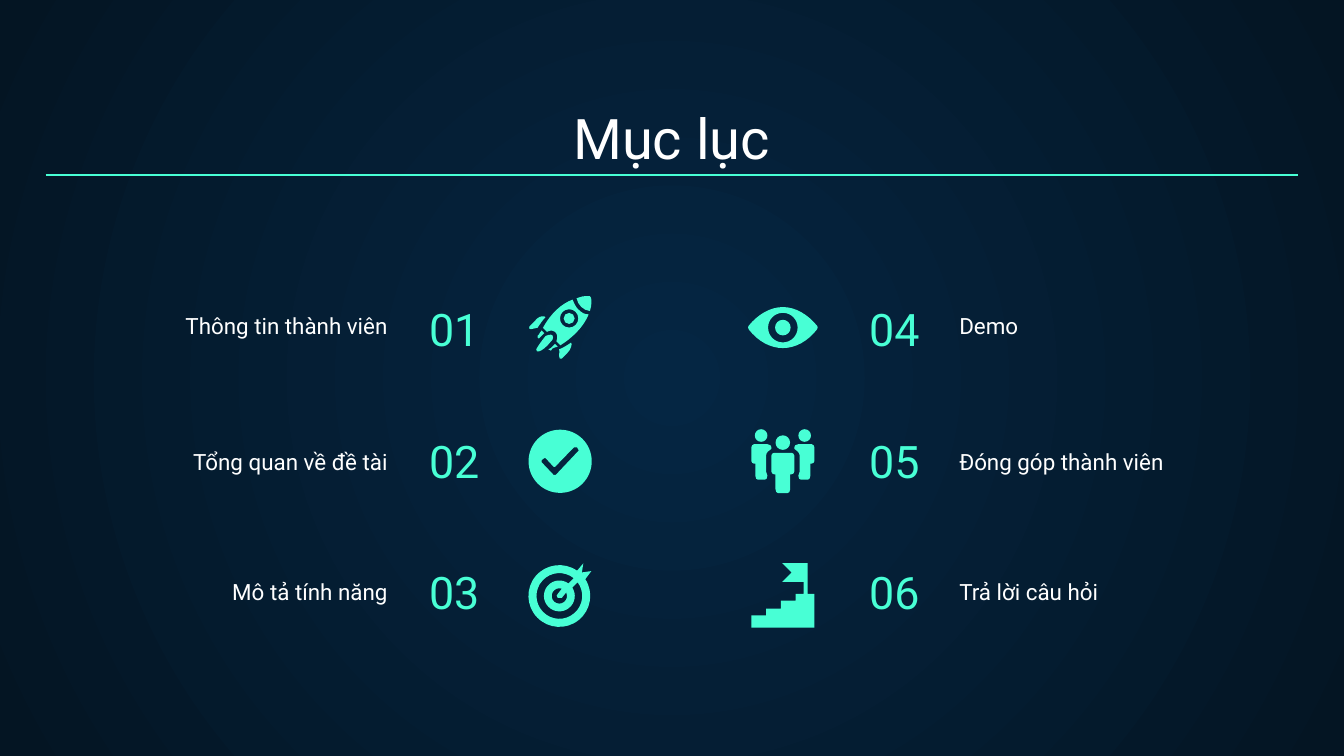
from dataclasses import dataclass
from math import cos, radians, sin, tan

from lxml.etree import SubElement
from pptx import Presentation
from pptx.dml.color import RGBColor
from pptx.enum.shapes import MSO_CONNECTOR
from pptx.enum.text import MSO_ANCHOR, MSO_AUTO_SIZE, PP_ALIGN
from pptx.oxml.ns import qn
from pptx.util import Cm, Pt

HUES = {"mint": "48FFD5", "white": "FFFFFF", "core": "052643", "edge": "041523"}
FONT = "Roboto"
UNIT = Cm(2.54) / 100  # icon points lie on a grid of hundredths of an inch
FINE = 10  # steps kept within one grid unit
Path = list[tuple]  # a step is a point (x, y), or a curve of three points


@dataclass
class Side:
    num_x: float
    num_al: PP_ALIGN
    text_x: float
    text_al: PP_ALIGN
    first: int
    items: list[str]


def hue(name: str) -> RGBColor:
    return RGBColor.from_string(HUES[name])


def write(shape, text: str, size: int, tint: str, align: PP_ALIGN) -> None:
    frame = shape.text_frame
    frame.word_wrap = True
    frame.auto_size = MSO_AUTO_SIZE.NONE
    frame.vertical_anchor = MSO_ANCHOR.BOTTOM
    frame.margin_left = frame.margin_right = Cm(0.25)
    frame.margin_top = frame.margin_bottom = Cm(0.25)
    para = frame.paragraphs[0]
    para.alignment = align
    run = para.add_run()
    run.text = text
    run.font.name = FONT
    run.font.size = Pt(size)
    run.font.color.rgb = hue(tint)


def label(slide, x: float, y: float, w: float, h: float,
          text: str, size: int, tint: str, align: PP_ALIGN) -> None:
    box = slide.shapes.add_textbox(Cm(x), Cm(y), Cm(w), Cm(h))
    write(box, text, size, tint, align)


def arc(x: float, y: float, r: float, start: float = 0, end: float = 360) -> Path:
    """Four curves round a centre, led by the starting point."""
    turn = radians(end - start) / 4
    pull = 4 / 3 * tan(turn / 4)

    def spot(t: float, k: float) -> tuple[float, float]:
        return x + r * (cos(t) - k * sin(t)), y + r * (sin(t) + k * cos(t))

    path: Path = [spot(radians(start), 0)]
    for i in range(4):
        a = radians(start) + i * turn
        path.append((spot(a, pull), spot(a + turn, -pull), spot(a + turn, 0)))
    return path


def points(step: tuple) -> list[tuple]:
    return list(step) if len(step) == 3 else [step]


def flip(path: Path, total: float) -> Path:
    return [tuple((total - x, y) for x, y in step) if len(step) == 3
            else (total - step[0], step[1]) for step in path]


def draw(slide, *paths: Path) -> None:
    """One mint outline; inner paths cut holes."""
    pen = slide.shapes.build_freeform(scale=UNIT / FINE)
    for i, path in enumerate(paths):
        spots = [(x * FINE, y * FINE) for step in path for x, y in points(step)]
        if i:
            pen.move_to(*spots[0])
        else:
            pen = slide.shapes.build_freeform(*spots[0], scale=UNIT / FINE)
        pen.add_line_segments(spots[1:], close=True)
    shape = pen.convert_to_shape()
    # Join each curve's three line steps into one
    lines = iter(list(shape.element.iter(qn("a:lnTo"))))
    for path in paths:
        for step in path[1:]:
            line = next(lines)
            if len(step) == 3:
                line.tag = qn("a:cubicBezTo")
                for _ in range(2):
                    extra = next(lines)
                    line.append(extra[0])
                    extra.getparent().remove(extra)
    shape.shadow.inherit = False
    shape.fill.solid()
    shape.fill.fore_color.rgb = hue("mint")
    shape.line.fill.background()


def rocket(slide) -> None:
    hull = [(426, 223), ((418, 226), (410, 233), (404, 244)), (407, 247),
            ((410, 245.5), (412, 246), (413, 247)),
            ((415, 249), (415, 251), (414, 254)), (417, 257),
            ((425, 252), (434, 244), (438, 234)),
            ((435, 234), (433, 233), (430, 230)),
            ((428, 228), (427, 225), (426, 223))]
    draw(slide, hull, arc(423.5, 237, 6.8))
    draw(slide, arc(423.5, 237, 4.1))
    draw(slide, [(429, 222), ((432, 221), (434, 220), (439, 220.5)),
                 ((440.5, 221), (440.5, 227), (439, 231.5)),
                 ((434, 231), (430, 227), (429, 222))])
    # Fins and flames
    draw(slide, [(405, 235.5), ((403, 235), (400, 236), (398, 239)), (394, 243),
                 ((393, 244), (394, 245), (395, 245)),
                 ((397, 244), (398, 244), (400, 244)),
                 ((402, 241), (404, 238), (406, 236))])
    draw(slide, [(425, 255), ((422, 257), (419, 259), (416, 260)),
                 ((417, 261), (416, 262), (416, 265)),
                 ((416, 267), (417, 267.5), (418, 267)), (422, 263),
                 ((425, 260), (426, 256), (425, 255))])
    draw(slide, [(403, 246), ((401, 248), (401, 250), (400, 250)),
                 ((400, 251), (400, 252), (401, 252)),
                 ((402, 251), (404, 249), (405, 248))])
    draw(slide, [(413, 256), ((411, 257), (411, 259), (408, 260)),
                 ((409, 260), (409, 261), (410, 261)),
                 ((410, 260), (411, 259), (415, 258))])
    draw(slide, [(410, 249), ((409, 249), (407, 249.5), (406, 250)),
                 ((402, 255), (400, 258), (399, 260)),
                 ((399, 261), (400, 262.5), (401, 261.5)),
                 ((403, 261), (406, 259), (410, 254)),
                 ((412, 253), (412, 249), (410, 249))])


def check(slide) -> None:
    tick = [(428, 333), ((428.5, 332.5), (429, 333), (429.5, 333)), (430, 334),
            ((431, 335), (431, 335.5), (430, 336)), (413.5, 353.5),
            ((413, 354), (412.5, 354), (412, 353.5)), (403, 344),
            ((402.5, 343.5), (402.5, 343), (403, 342.5)), (405, 341),
            ((405.5, 340.5), (406, 341), (406, 341)), (412, 347.5),
            ((412.5, 348), (413, 348), (413, 347.5)), (427, 333)]
    draw(slide, arc(416.8, 343.3, 23.5), tick)


def target(slide) -> None:
    mid = (416.2, 443.5)
    disc = arc(*mid, 23, -33, 305) + [(434, 419.3), (433, 426), (440, 425)]
    gap = arc(*mid, 17, -37, 309) + arc(*mid, 11.5, 306, -33)
    hub = arc(*mid, 5.7, -27, 290) + [
        (415, 442), ((414, 442.5), (414, 444), (415, 445)),
        ((416, 445.5), (417, 445.5), (418, 445))]
    draw(slide, disc, gap, hub)


def eye(slide) -> None:
    lens = [(557, 242.5), ((564, 234), (573, 228.5), (582.5, 228.5)),
            ((592, 228.5), (601, 234), (608, 242.5)),
            ((608.5, 243), (608.5, 244), (608, 245)),
            ((601, 254), (592, 259), (582.5, 259)),
            ((573, 259), (564, 254), (557, 245)),
            ((556.5, 244), (556.5, 243), (557, 242.5))]
    draw(slide, lens, arc(582.5, 243.8, 11), arc(582.5, 243.8, 5.8))


def team(slide) -> None:
    total = 1165  # twice the middle line of the group
    body = [(561, 330.5), ((560, 330.5), (559, 332), (559, 333)), (559, 343),
            ((559, 344), (560, 345), (561, 345)), (562, 345), (562, 354),
            ((562, 356), (563, 357), (564, 357)), (569, 357),
            ((570, 357), (571, 356), (571, 354)),
            ((571, 353), (570, 352), (570, 351)), (570, 339),
            ((570, 337), (572, 335), (574, 334)), (574, 333),
            ((574, 332), (573, 330.5), (571, 330.5))]
    head = arc(566.3, 324.1, 4.7)
    for part in (body, head):
        draw(slide, part)
        draw(slide, flip(part, total))
    draw(slide, [(576, 337), ((575, 337), (574, 338), (574, 339)), (574, 351),
                 ((574, 352), (575, 353), (576, 353)), (577, 353), (577, 364),
                 ((577, 366), (578, 367), (579, 367)), (586, 367),
                 ((587, 367), (588, 366), (588, 364)), (588, 353), (589, 353),
                 ((590, 353), (591, 352), (591, 351)), (591, 339),
                 ((591, 338), (590, 337), (589, 337))])
    draw(slide, arc(582.5, 329.4, 5.4))


def steps(slide) -> None:
    draw(slide, [(582, 419), (589, 426), (582, 433), (598, 433), (598, 442),
                 (592, 442), (592, 447), (581, 447), (581, 453), (570, 453),
                 (570, 458), (559, 458), (559, 467), (606, 467), (606, 442),
                 (601, 442), (601, 419)])


def paint(slide) -> None:
    """Round gradient behind everything."""
    fill = slide.background.fill
    fill.gradient()
    for stop, name in zip(fill.gradient_stops, ("core", "edge")):
        stop.color.rgb = hue(name)
    grad = next(slide.element.iter(qn("a:gradFill")))
    grad.remove(grad.find(qn("a:lin")))
    ring = SubElement(grad, qn("a:path"), path="circle")
    SubElement(ring, qn("a:fillToRect"), l="50000", t="50000", r="50000", b="50000")


SIDES = [
    Side(7.86, PP_ALIGN.LEFT, 1.81, PP_ALIGN.RIGHT, 1,
         ["Thông tin thành viên", "Tổng quan về đề tài", "Mô tả tính năng"]),
    Side(14.35, PP_ALIGN.RIGHT, 17.88, PP_ALIGN.LEFT, 4,
         ["Demo", "Đóng góp thành viên", "Trả lời câu hỏi"]),
]
TEXT_Y = [6.12, 8.69, 11.16]


def main() -> None:
    deck = Presentation()
    deck.slide_width, deck.slide_height = Cm(25.4), Cm(14.29)
    slide = deck.slides.add_slide(deck.slide_layouts[5])
    paint(slide)

    # Title and rule
    title = slide.shapes.title
    title.left, title.top, title.width, title.height = Cm(0.86), Cm(1.79), Cm(23.67), Cm(1.68)
    write(title, "Mục lục", 30, "white", PP_ALIGN.CENTER)
    rule = slide.shapes.add_connector(
        MSO_CONNECTOR.STRAIGHT, Cm(0.86), Cm(3.31), Cm(24.53), Cm(3.31))
    rule.line.color.rgb = hue("mint")
    rule.line.width = Pt(0.75)
    SubElement(rule.element.spPr, qn("a:effectLst"))

    # Numbers and topics
    for side in SIDES:
        for i, (text, y) in enumerate(zip(side.items, TEXT_Y)):
            label(slide, side.num_x, 5.29 + 2.49 * i, 3.28, 1.68,
                  f"{side.first + i:02}", 24, "mint", side.num_al)
            label(slide, side.text_x, y, 5.77, 0.53, text, 12, "white", side.text_al)

    # Icons
    for icon in (rocket, check, target, eye, team, steps):
        icon(slide)
    deck.save("out.pptx")


if __name__ == "__main__":
    main()
